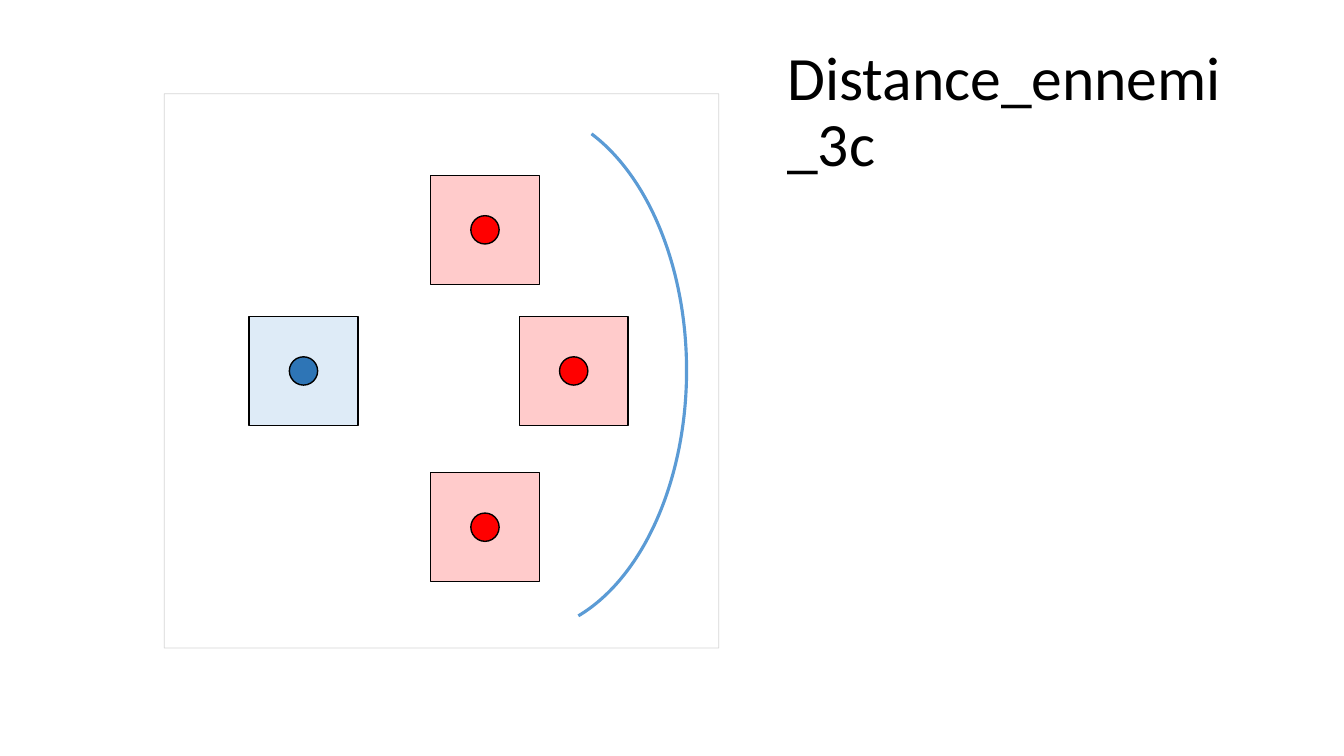
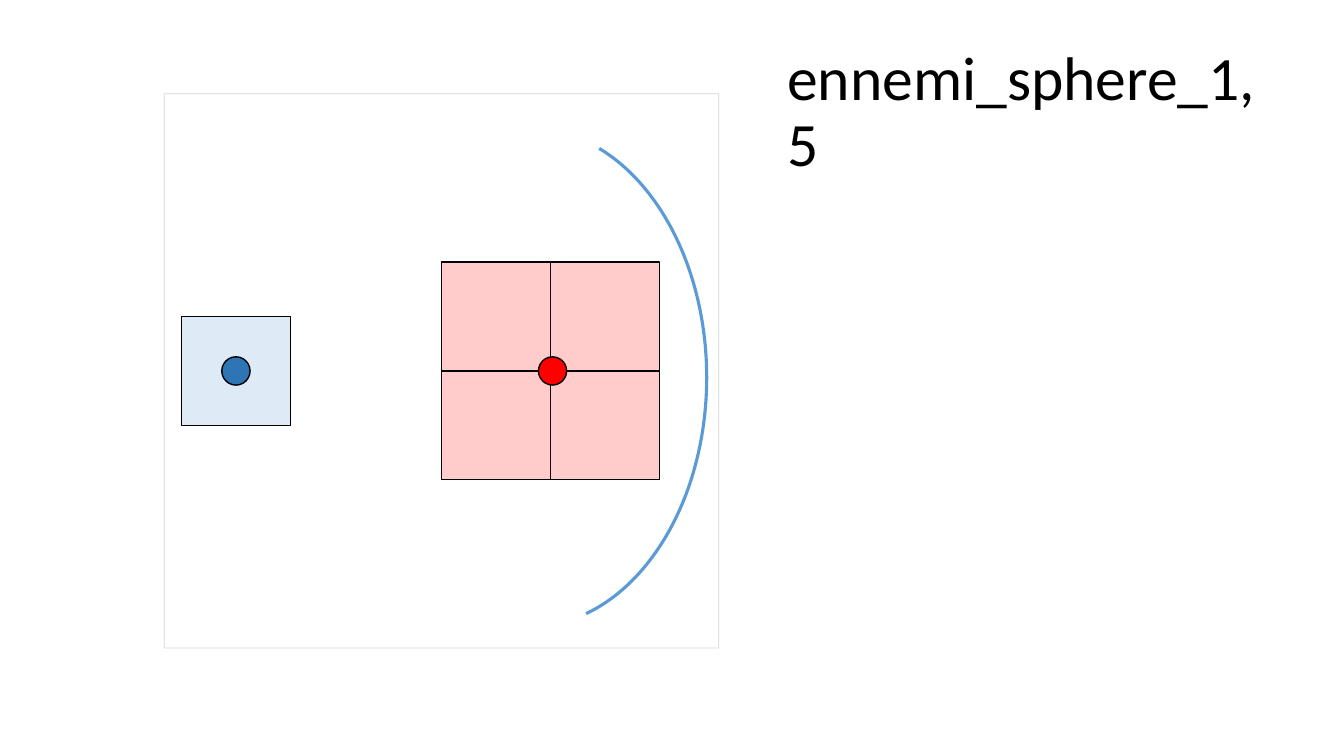
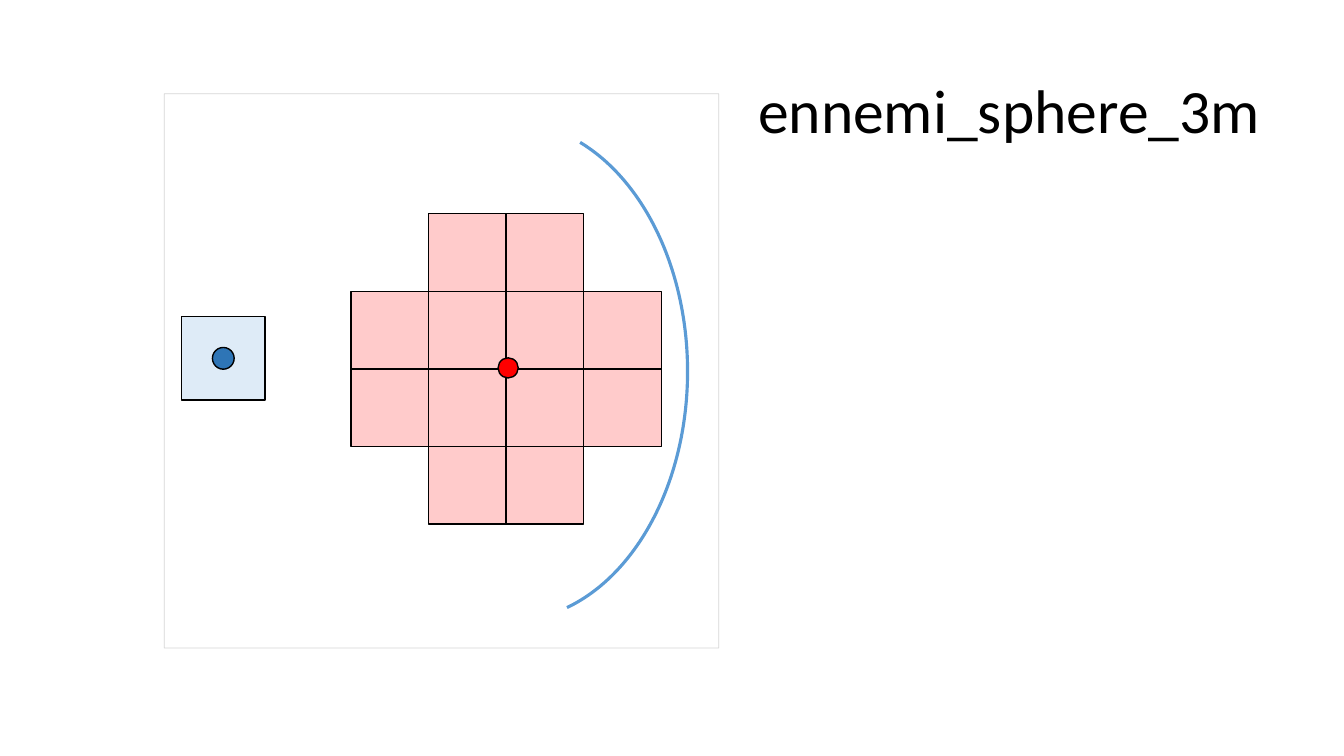
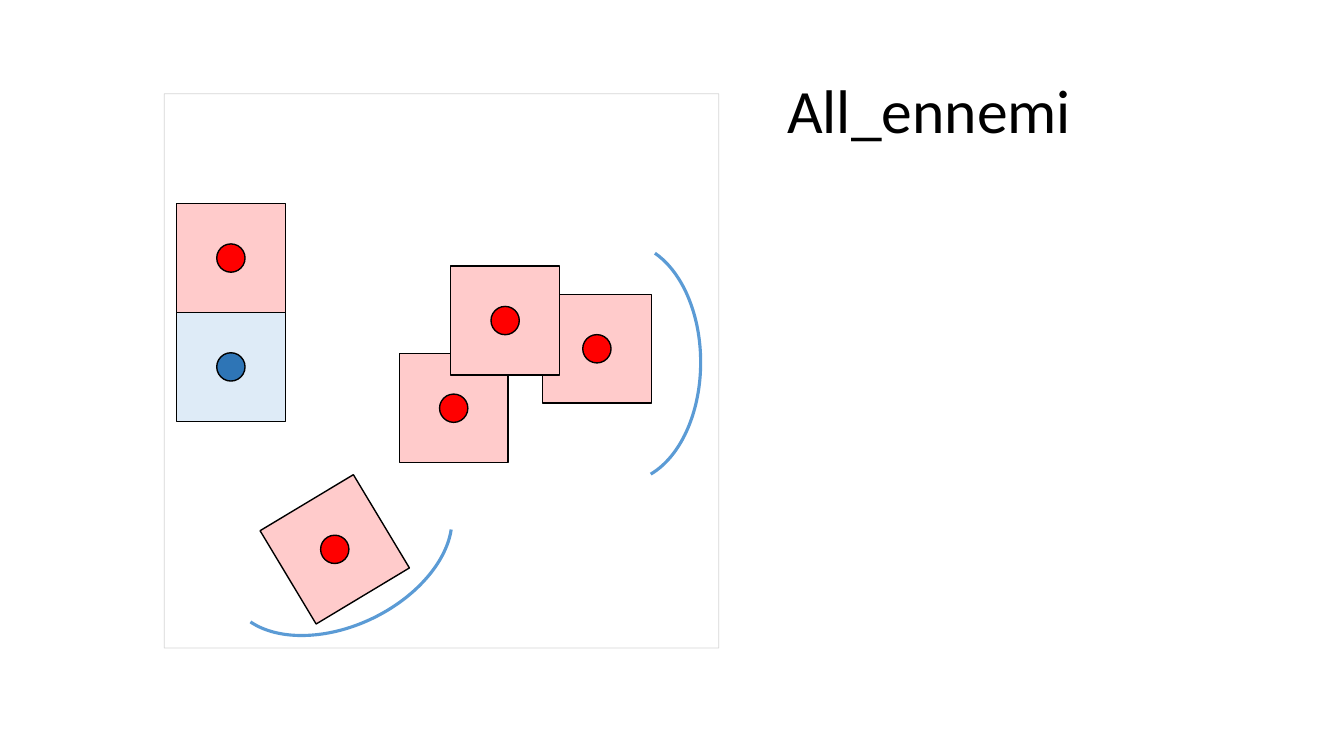
from dataclasses import dataclass

from lxml import etree
from pptx import Presentation
from pptx.dml.color import RGBColor
from pptx.enum.shapes import MSO_SHAPE
from pptx.enum.text import MSO_ANCHOR
from pptx.oxml.ns import qn
from pptx.shapes.autoshape import Shape
from pptx.slide import Slide
from pptx.util import Inches, Pt

RECTANGLE, OVAL, ARC = MSO_SHAPE.RECTANGLE, MSO_SHAPE.OVAL, MSO_SHAPE.ARC
MIDDLE = MSO_ANCHOR.MIDDLE

BLACK = RGBColor(0x00, 0x00, 0x00)
FRAME_GREY = RGBColor(0xA6, 0xA6, 0xA6)
ARC_BLUE = RGBColor(0x5B, 0x9B, 0xD5)
PLAYER_CELL = RGBColor(0xDE, 0xEB, 0xF7)
PLAYER_DOT = RGBColor(0x2E, 0x75, 0xB6)
ENEMY_CELL = RGBColor(0xFF, 0xCB, 0xCB)
ENEMY_DOT = RGBColor(0xFF, 0x00, 0x00)

TITLE_FONT = {"name": "Calibri", "size": Pt(44)}
FRAME_OPACITY = 45000
CELL_SIZE = 1.08
DOT_RATIO = 0.26
ARC_UNITS_PER_DEGREE = 0.6
ARC_END = 76.34


@dataclass(frozen=True)
class Token:
    """A square cell with a dot in its middle."""
    left: float
    top: float
    size: float = CELL_SIZE
    rotation: float = 0
    cell_color: RGBColor = ENEMY_CELL
    dot_color: RGBColor = ENEMY_DOT


@dataclass(frozen=True)
class Sweep:
    """An arc, given by the box of its full ellipse."""
    left: float
    top: float
    width: float
    height: float
    start: float = 287.1
    rotation: float = 0


@dataclass(frozen=True)
class Sphere:
    """Enemy cells around a grid centre, with one dot; cells are (column, row)."""
    center_x: float
    center_y: float
    cell_size: float
    cells: tuple[tuple[int, int], ...]
    dot_x: float
    dot_y: float
    dot_size: float


@dataclass(frozen=True)
class Scene:
    title: str
    title_left: float
    title_width: float
    sweeps: tuple[Sweep, ...]
    tokens: tuple[Token, ...]
    sphere: Sphere | None = None


def player(left: float, top: float, size: float = CELL_SIZE) -> Token:
    return Token(left, top, size, 0, PLAYER_CELL, PLAYER_DOT)


SQUARE_CELLS = tuple((column, row) for column in (-1, 0) for row in (-1, 0))
CROSS_CELLS = tuple(
    (column, row)
    for column in range(-2, 2)
    for row in range(-2, 2)
    if column in (-1, 0) or row in (-1, 0)
)

SCENES = (
    Scene(
        "Distance_ennemi_3c", 7.71, 4.7,
        (Sweep(3.48, 1.07, 3.33, 5.21),),
        (player(2.47, 3.14), Token(5.15, 3.14), Token(4.27, 1.74), Token(4.27, 4.69)),
    ),
    Scene(
        "ennemi_sphere_1,5", 7.71, 5.11,
        (Sweep(3.48, 1.27, 3.53, 4.95),),
        (player(1.8, 3.14),),
        Sphere(5.46, 3.68, CELL_SIZE, SQUARE_CELLS, 5.48, 3.68, 0.28),
    ),
    Scene(
        "ennemi_sphere_3m", 7.42, 5.41,
        (Sweep(3.29, 1.21, 3.53, 4.95),),
        (player(1.8, 3.14, 0.83),),
        Sphere(5.02, 3.66, 0.77, CROSS_CELLS, 5.04, 3.65, 0.2),
    ),
    Scene(
        "All_ennemi", 7.71, 5.47,
        (
            Sweep(5.42, 2.41, 1.53, 2.37, 286.04),
            Sweep(2.6, 4.26, 1.53, 2.37, 286.04, 64.2),
        ),
        (
            Token(5.38, 2.92), Token(3.96, 3.51), Token(4.47, 2.64),
            player(1.75, 3.1), Token(1.75, 2.02), Token(2.78, 4.91, rotation=59),
        ),
    ),
)


def add_outlined(shapes, kind: MSO_SHAPE, left: float, top: float, width: float,
                 height: float, fill: RGBColor | None = None,
                 line: RGBColor = BLACK, weight: float = 1) -> Shape:
    shape = shapes.add_shape(kind, Inches(left), Inches(top), Inches(width), Inches(height))
    shape.shadow.inherit = False
    if fill is None:
        shape.fill.background()
    else:
        shape.fill.solid()
        shape.fill.fore_color.rgb = fill
    shape.line.color.rgb = line
    shape.line.width = Pt(weight)
    return shape


def add_dot(shapes, center_x: float, center_y: float, size: float, color: RGBColor) -> None:
    add_outlined(shapes, OVAL, center_x - size / 2, center_y - size / 2, size, size, color)


def add_title(page: Slide, scene: Scene) -> None:
    box = page.shapes.add_textbox(
        Inches(scene.title_left), Inches(0.4), Inches(scene.title_width), Inches(1.45))
    box.text_frame.word_wrap = True
    box.text_frame.vertical_anchor = MIDDLE
    para = box.text_frame.paragraphs[0]
    para.line_spacing = 0.9
    span = para.add_run()
    span.text = scene.title
    for name, value in TITLE_FONT.items():
        setattr(span.font, name, value)
    span.font.color.rgb = BLACK


def add_frame(page: Slide) -> None:
    frame = add_outlined(page.shapes, RECTANGLE, 1.63, 0.93, 5.5, 5.5, None, FRAME_GREY, 0.5)
    color = frame.element.spPr.find(".//" + qn("a:srgbClr"))
    etree.SubElement(color, qn("a:alpha")).set("val", str(FRAME_OPACITY))


def add_sweep(page: Slide, sweep: Sweep) -> None:
    arc = add_outlined(page.shapes, ARC, sweep.left, sweep.top, sweep.width, sweep.height,
                       None, ARC_BLUE, 2.25)
    for index, degrees in enumerate((sweep.start, ARC_END)):
        arc.adjustments[index] = degrees * ARC_UNITS_PER_DEGREE
    arc.rotation = sweep.rotation


def add_token(page: Slide, token: Token) -> None:
    group = page.shapes.add_group_shape()
    add_outlined(group.shapes, RECTANGLE, token.left, token.top, token.size, token.size,
                 token.cell_color)
    half = token.size / 2
    add_dot(group.shapes, token.left + half, token.top + half, token.size * DOT_RATIO,
            token.dot_color)
    group.rotation = token.rotation


def add_sphere(page: Slide, sphere: Sphere) -> None:
    size = sphere.cell_size
    for column, row in sphere.cells:
        add_outlined(page.shapes, RECTANGLE, sphere.center_x + column * size,
                     sphere.center_y + row * size, size, size, ENEMY_CELL)
    add_dot(page.shapes, sphere.dot_x, sphere.dot_y, sphere.dot_size, ENEMY_DOT)


def main() -> None:
    deck = Presentation()
    deck.slide_width, deck.slide_height = Inches(13.33), Inches(7.5)
    blank = deck.slide_layouts[6]
    for scene in SCENES:
        page = deck.slides.add_slide(blank)
        add_title(page, scene)
        add_frame(page)
        for sweep in scene.sweeps:
            add_sweep(page, sweep)
        if scene.sphere:
            add_sphere(page, scene.sphere)
        for token in scene.tokens:
            add_token(page, token)
    deck.save("out.pptx")


if __name__ == "__main__":
    main()
